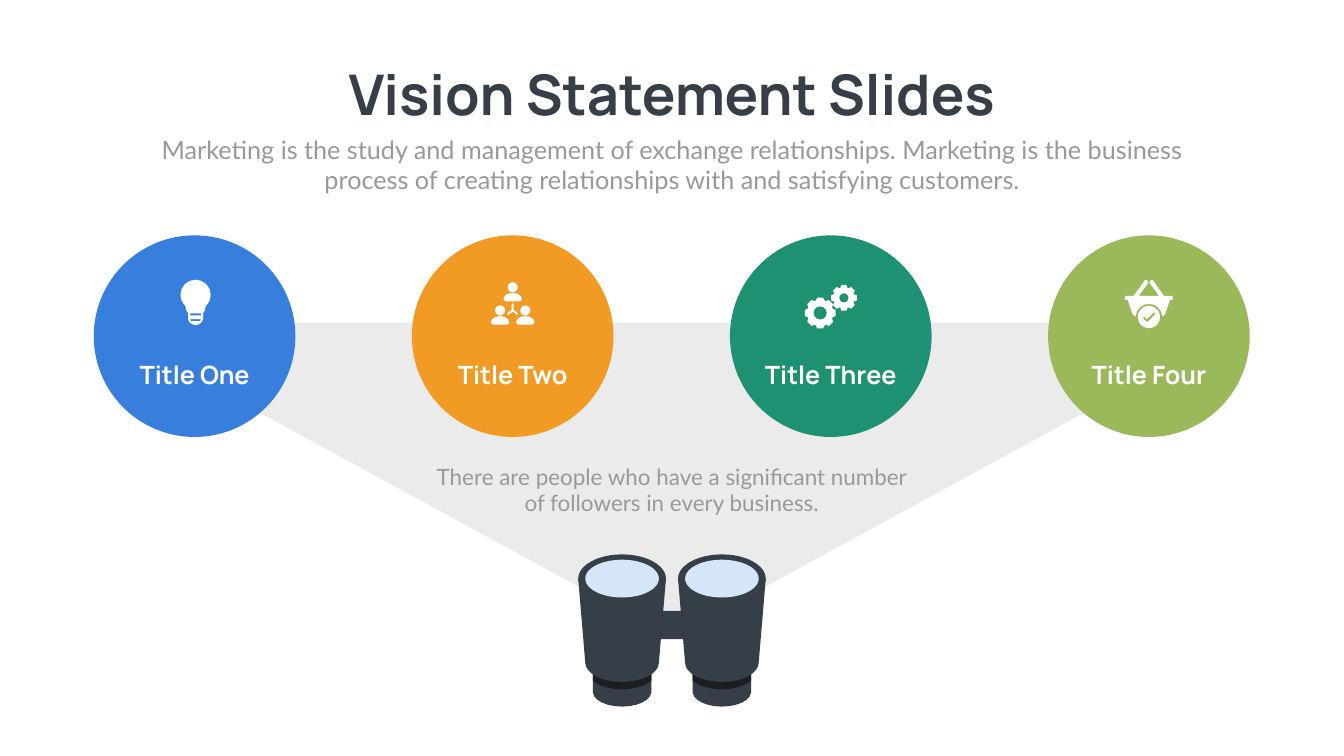
"""Build a vision statement slide with four themed circles above a pair of binoculars."""
from math import cos, dist, pi, radians, sin

from pptx import Presentation
from pptx.dml.color import RGBColor
from pptx.enum.shapes import MSO_SHAPE
from pptx.enum.text import PP_ALIGN
from pptx.util import Inches, Pt

OVAL, TRIANGLE = MSO_SHAPE.OVAL, MSO_SHAPE.ISOSCELES_TRIANGLE
CENTER = PP_ALIGN.CENTER
BLUE, ORANGE = RGBColor(0x38, 0x7F, 0xDD), RGBColor(0xF1, 0x9B, 0x25)
TEAL, GREEN = RGBColor(0x1D, 0x91, 0x71), RGBColor(0x9B, 0xB9, 0x5B)
WHITE, GRAY = RGBColor(0xFF, 0xFF, 0xFF), RGBColor(0x99, 0x99, 0x99)
BEAM, LENS = RGBColor(0xEB, 0xEB, 0xEB), RGBColor(0xD7, 0xE5, 0xF8)
DARK, BLACK = RGBColor(0x36, 0x3E, 0x48), RGBColor(0x1B, 0x1F, 0x24)

TITLE = "Vision Statement Slides"
SUBTITLE = ("Marketing is the study and management of exchange relationships. "
            "Marketing is the business process of creating relationships with "
            "and satisfying customers.")
CAPTION = "There are people who have a significant number of followers in every business."
TOPICS = [("Title One", BLUE), ("Title Two", ORANGE),
          ("Title Three", TEAL), ("Title Four", GREEN)]

FIRST_X, STEP_X, CIRCLE_Y, DIAMETER, ICON_Y = 3.86, 6.31, 6.67, 4, 6
BARREL_XS, BRIDGE_X, BINOCULARS_Y = (12.34, 14.32), 13.33, 11

BULB = [(0, -.45), (.16, -.45, .3, -.32, .3, -.15), (.3, -.04, .25, .02, .21, .06),
        (.19, .11), (.19, .15), (.15, .21), (.15, .33), (.13, .38), (.09, .42),
        (.02, .45)]
BULB_SLOTS = [[(0, .22), (.11, .22), (.11, .26), (0, .26)],
              [(0, .33), (.11, .33), (.09, .37), (0, .37)]]
PEOPLE = [(0, -.4), (-.25, .06), (.25, .06)]
SHOULDERS = [(0, .21), (.05, .21, .1, .23, .13, .25), (.16, .27, .18, .29, .18, .33),
             (.18, .35), (.14, .38)]
LINK = [(0, .02), (.02, .04), (.02, .15), (.11, .22), (.09, .25), (0, .18)]
GEARS = [(-.21, .21, .31, .26, .13), (.26, -.09, .26, .21, .09)]
BASKET = [(0, -.13), (.2, -.13), (.01, -.39), (.02, -.42), (.05, -.44), (.08, -.44),
          (.3, -.13), (.46, -.13), (.48, -.11), (.48, -.07), (.46, -.05), (.42, -.05),
          (.32, .24), (.27, .28), (.26, .26), (.25, .13, .14, .03, 0, .03)]
CHECK = [(.12, .24), (-.02, .38), (-.05, .38), (-.11, .32), (-.11, .29), (-.08, .29),
         (-.04, .34), (.09, .21), (.12, .21)]
EYEPIECE = [(0, 2.21), (.58, 2.21), (.58, 2.74), (.56, 2.9, .31, 3.02, 0, 3.02)]
BAND = [(0, 2.21), (.58, 2.21), (.58, 2.51), (.43, 2.62, .22, 2.68, 0, 2.68)]
BARREL = [(0, .48), (.87, .48), (.73, 2.15), (.73, 2.36, .4, 2.53, 0, 2.53)]
BRIDGE = [(0, 1.12), (.37, 1.12), (.41, 1.16, .46, 1.52, .37, 1.68), (0, 1.68)]


def flatten(nodes):
    """Turn points and cubic curves into points, with more steps on longer curves."""
    points = []
    for node in nodes:
        if len(node) == 2:
            points.append(node)
            continue
        x0, y0 = points[-1]
        x1, y1, x2, y2, x3, y3 = node
        steps = 1 + round(8 * dist((x0, y0), (x3, y3)))
        for i in range(1, steps + 1):
            t = i / steps
            a, b, c, d = (1 - t) ** 3, 3 * t * (1 - t) ** 2, 3 * t * t * (1 - t), t ** 3
            points.append((a * x0 + b * x1 + c * x2 + d * x3,
                           a * y0 + b * y1 + c * y2 + d * y3))
    return points


def mirror(nodes):
    """Complete a right half with its reflection."""
    half = flatten(nodes)
    return half + [(-x, y) for x, y in reversed(half) if x]


def gear(cx, cy, outer, root):
    """Return the toothed outline of an eight-tooth gear."""
    return [(cx + r * cos(i * pi / 4 + radians(angle)),
             cy + r * sin(i * pi / 4 + radians(angle)))
            for i in range(8)
            for r, angle in ((root, -20), (outer, -11), (outer, 11), (root, 20))]


def paint(sp, color):
    """Give a shape a flat fill."""
    sp.shadow.inherit = False
    sp.fill.solid()
    sp.fill.fore_color.rgb = color
    sp.line.fill.background()
    return sp


def add_outline(shapes, contours, x, y, color):
    """Draw closed contours around an origin as one freeform."""
    placed = [[(Inches(x + px), Inches(y + py)) for px, py in c] for c in contours]
    builder = shapes.build_freeform(*placed[0][0], scale=1.0)
    builder.add_line_segments(placed[0][1:])
    for contour in placed[1:]:
        builder.move_to(*contour[0])
        builder.add_line_segments(contour[1:])
    return paint(builder.convert_to_shape(), color)


def add_oval(shapes, cx, cy, w, h, color):
    """Draw an ellipse around its centre."""
    return paint(shapes.add_shape(OVAL, Inches(cx - w / 2), Inches(cy - h / 2),
                                  Inches(w), Inches(h)), color)


def add_text(s, text, x, y, w, h, *, size, color, font="Lato", bold=False, wrap=True):
    """Add a centred text box."""
    tf = s.shapes.add_textbox(Inches(x), Inches(y), Inches(w), Inches(h)).text_frame
    tf.word_wrap = wrap
    p = tf.paragraphs[0]
    p.alignment = CENTER
    r = p.add_run()
    r.text = text
    r.font.name, r.font.size, r.font.bold = font, Pt(size), bold
    r.font.color.rgb = color


def add_binoculars(s):
    """Draw two barrels and the bridge between them."""
    shapes = s.shapes.add_group_shape().shapes
    for x in reversed(BARREL_XS):
        for half, color in ((EYEPIECE, DARK), (BAND, BLACK), (BARREL, DARK)):
            add_outline(shapes, [mirror(half)], x, BINOCULARS_Y, color)
        for w, h, color in ((1.74, .96, DARK), (1.46, .75, LENS)):
            add_oval(shapes, x, BINOCULARS_Y + .48, w, h, color)
    add_outline(shapes, [mirror(BRIDGE)], BRIDGE_X, BINOCULARS_Y, DARK)


def add_icons(s, bulb_x, team_x, gears_x, basket_x):
    """Draw one white icon in each circle."""
    add_outline(s.shapes, [mirror(c) for c in [BULB] + BULB_SLOTS], bulb_x + .02, ICON_Y, WHITE)
    team = s.shapes.add_group_shape().shapes
    for dx, dy in PEOPLE:
        add_oval(team, team_x + dx, ICON_Y + dy + .1, .2, .2, WHITE)
        add_outline(team, [mirror(SHOULDERS)], team_x + dx, ICON_Y + dy, WHITE)
    add_outline(team, [mirror(LINK)], team_x, ICON_Y, WHITE)
    gears = s.shapes.add_group_shape().shapes
    for dx, dy, outer, root, hole in GEARS:
        add_outline(gears, [gear(dx, dy, outer, root)], gears_x, ICON_Y, WHITE)
        add_oval(gears, gears_x + dx, ICON_Y + dy, 2 * hole, 2 * hole, TEAL)
    basket = s.shapes.add_group_shape().shapes
    add_outline(basket, [mirror(BASKET)], basket_x, ICON_Y, WHITE)
    add_oval(basket, basket_x, ICON_Y + .29, .44, .44, WHITE)
    add_outline(basket, [CHECK], basket_x, ICON_Y, GREEN)


def main():
    """Assemble and save the slide."""
    prs = Presentation()
    prs.slide_width, prs.slide_height = Inches(26.66), Inches(15)
    s = prs.slides.add_slide(prs.slide_layouts[6])
    beam = s.shapes.add_shape(TRIANGLE, Inches(1.87), Inches(6.4), Inches(22.92), Inches(6.25))
    paint(beam, BEAM).rotation = 180
    add_text(s, TITLE, 6.41, 1.14, 13.84, 1.45, size=80, color=DARK,
             font="Manrope", bold=True, wrap=False)
    add_text(s, SUBTITLE, 2.92, 2.61, 20.82, 1.31, size=36, color=GRAY)
    centers = [FIRST_X + i * STEP_X for i in range(len(TOPICS))]
    for x, (label, color) in zip(centers, TOPICS):
        add_oval(s.shapes, x, CIRCLE_Y, DIAMETER, DIAMETER, color)
        add_text(s, label, x - 2.86, 7.07, 5.72, .71, size=36, color=WHITE,
                 font="Manrope", bold=True)
    add_text(s, CAPTION, 8.47, 9.13, 9.71, 1.18, size=32, color=GRAY)
    add_binoculars(s)
    add_icons(s, *centers)
    prs.save("out.pptx")


if __name__ == "__main__":
    main()
